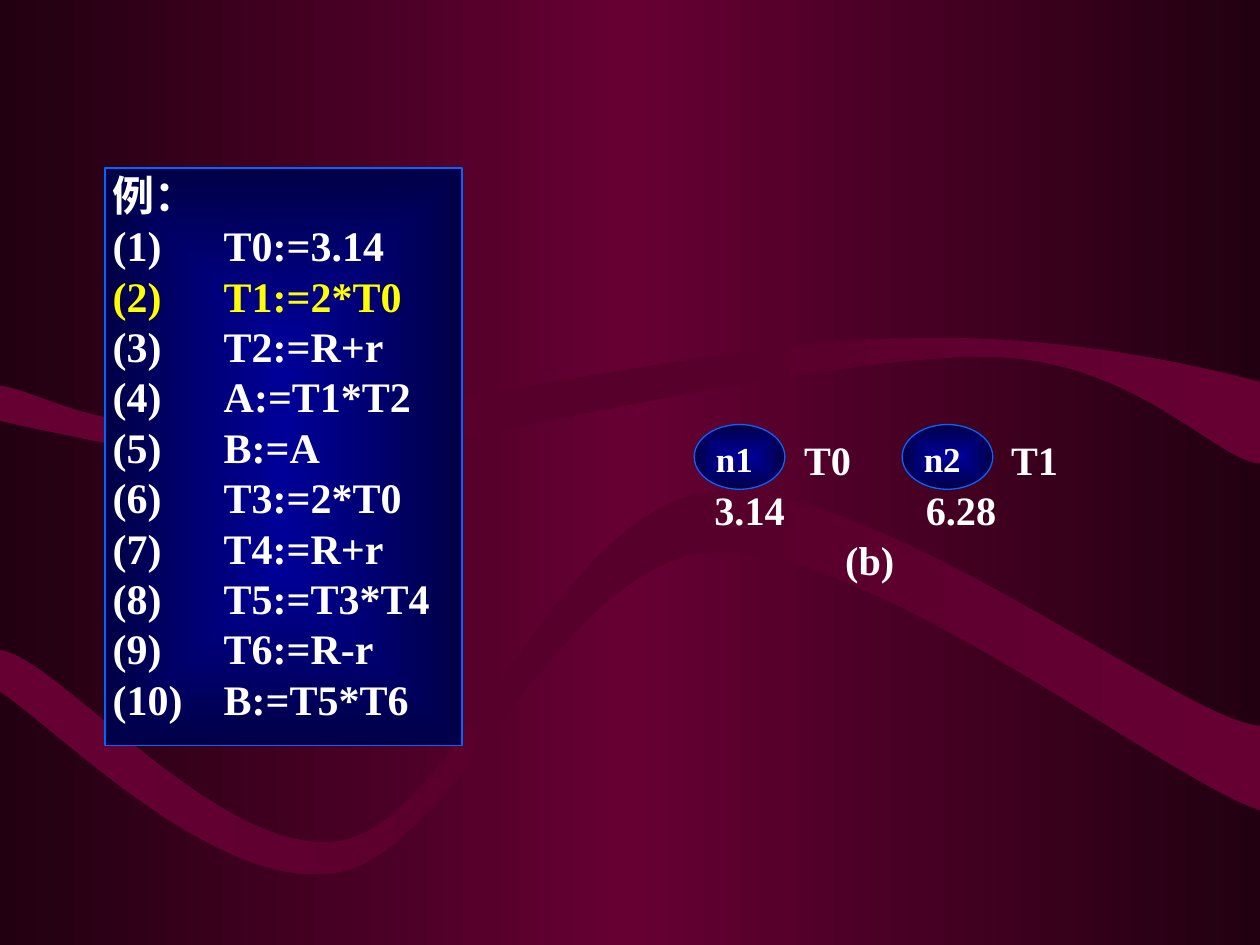
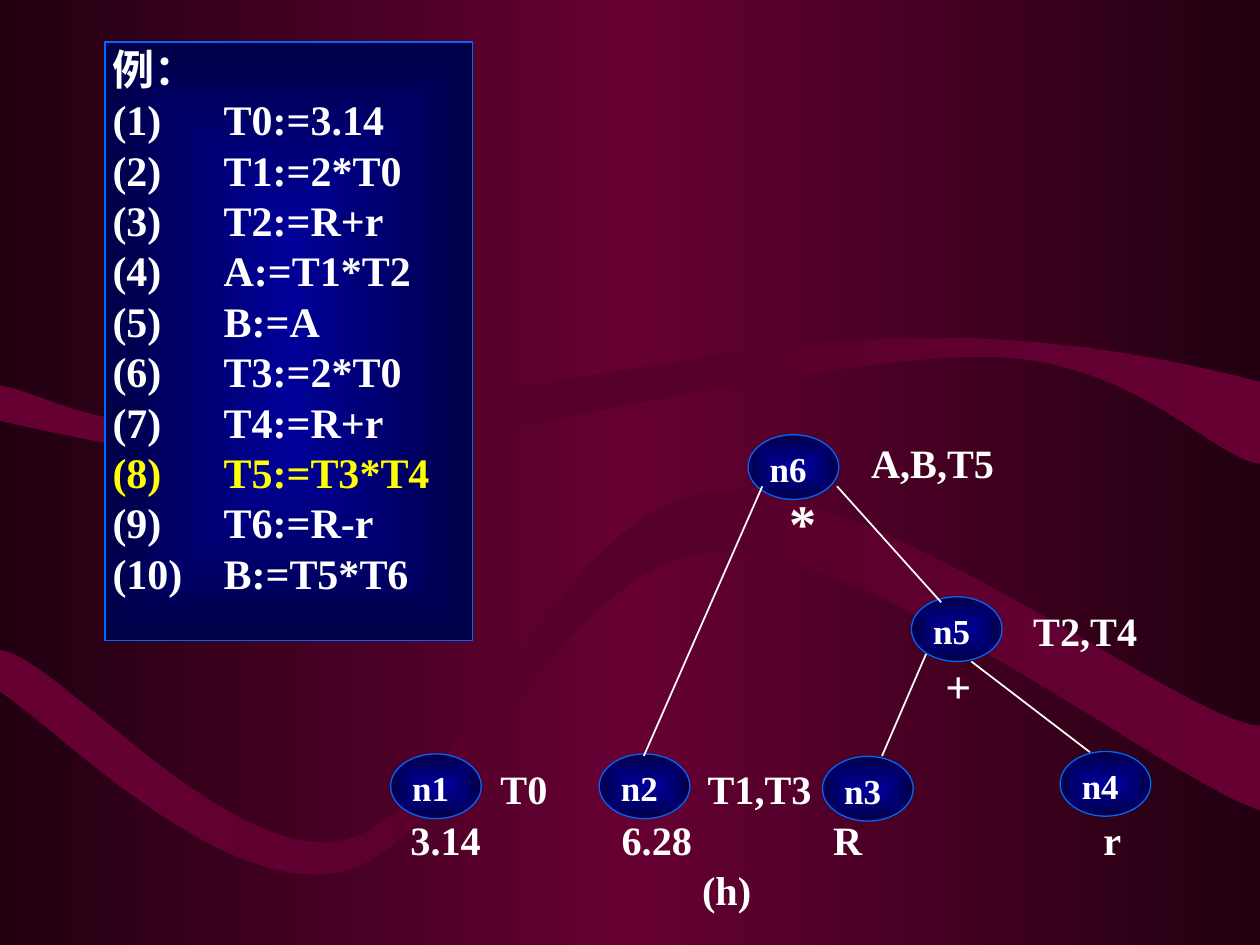
from dataclasses import dataclass
from typing import NamedTuple

from lxml import etree
from pptx import Presentation
from pptx.dml.color import RGBColor
from pptx.enum import shapes, text
from pptx.oxml import ns, parse_xml
from pptx.util import Pt


@dataclass(frozen=True)
class Theme:
    font: str = "Times New Roman"
    white: str = "FFFFFF"
    highlight: str = "FFFF00"
    outline: str = "0066FF"
    backdrop: tuple = ("220011", "660033", "220011")
    ribbon: tuple = ("660033", "56002B", "660033")
    glow: tuple = ("000099", "000047")
    code_size: float = 24
    label_size: float = 23
    node_size: float = 20
    line_height: float = 1.2


THEME = Theme()


class Node(NamedTuple):
    name: str
    left: float
    top: float


class Row(NamedTuple):
    """Labels on one line, each with the left edge it starts at."""
    top: float
    labels: dict[str, float]
    size: float = THEME.label_size


class Edge(NamedTuple):
    x1: float
    y1: float
    x2: float
    y2: float


@dataclass(frozen=True)
class Step:
    """One stage of the graph: the code panel's box, its current line and the graph."""
    panel: tuple[float, float, float, float]
    current_line: int
    nodes: list[Node]
    rows: list[Row]
    edges: list[Edge]


NODE_WIDTH, NODE_HEIGHT = 51.8, 37
CODE_TAB = 63.5
CODE = ["T0:=3.14", "T1:=2*T0", "T2:=R+r", "A:=T1*T2", "B:=A",
        "T3:=2*T0", "T4:=R+r", "T5:=T3*T4", "T6:=R-r", "B:=T5*T6"]

# Outlines: two numbers are a corner, six are a Bézier curve.
RIBBONS = [
    [(0, 220.3), (0, 240.5),
     (26.6, 247, 126, 266.4, 159.8, 270),
     (193.7, 273.6, 136.8, 272.9, 203, 262.1),
     (270, 250.6, 475.2, 203, 561.6, 203.8),
     (648, 203.8, 693.4, 262.8, 720, 265),
     (720, 218.2),
     (684, 208.8, 601.9, 189.4, 504.7, 193.7),
     (407.5, 197.3, 221, 239, 136.8, 243.4),
     (52.6, 247.7, 28.8, 225.4, 0, 220.3)],
    [(0, 371.5), (0, 395.3),
     (32.4, 416.2, 125.3, 511.9, 193.7, 498.2),
     (261.4, 485.3, 319, 321.1, 406.8, 315.4),
     (494.6, 308.9, 667.4, 446.4, 720, 463),
     (720, 414.7),
     (675.4, 411.8, 497.5, 271.4, 404.6, 281.5),
     (317.5, 292.3, 264.2, 465.1, 196.6, 480.2),
     (128.9, 494.6, 32.4, 374.4, 0, 371.5)],
]

STEPS = [
    Step(
        panel=(60, 96, 204, 330),
        current_line=2,
        nodes=[Node("n1", 396.7, 242.6), Node("n2", 515.5, 242.6)],
        rows=[Row(248.6, {"T0": 459.5, "T1": 577.8}),
              Row(277.2, {"3.14": 408.2, "6.28": 529}),
              Row(306, {"(b)": 483})],
        edges=[],
    ),
    Step(
        panel=(60, 24, 210, 342),
        current_line=8,
        nodes=[Node("n1", 223.2, 430.8), Node("n2", 342.4, 430.8),
               Node("n3", 470, 432.2), Node("n4", 605.8, 429.4),
               Node("n5", 520.8, 341), Node("n6", 427.5, 248.4)],
        rows=[Row(250.6, {"A,B,T5": 497.8}), Row(279.4, {"*": 451.2}, 31),
              Row(346.4, {"T2,T4": 590.4}), Row(375.8, {"+": 540.2}, 26),
              Row(437, {"T0": 286, "T1,T3": 404.4}),
              Row(465.8, {"3.14": 234.5, "6.28": 355.2, "R": 476, "r": 630.5}),
              Row(494.6, {"(h)": 401.2})],
        edges=[Edge(435.6, 277.9, 367.9, 432), Edge(478.3, 277.9, 537.8, 344.2),
               Edge(529.2, 373.7, 504, 432), Edge(555.1, 378, 622.8, 429.8)],
    ),
]


def set_gradient(fill, element, colors: tuple, from_center: bool = False) -> None:
    """Give the first fill inside element evenly spaced stops."""
    fill.gradient()
    old = element.find(".//" + ns.qn("a:gradFill"))
    stops = "".join(
        f'<a:gs pos="{i * 100000 // (len(colors) - 1)}"><a:srgbClr val="{color}"/></a:gs>'
        for i, color in enumerate(colors))
    direction = ('<a:path path="rect"><a:fillToRect l="50000" t="50000" r="50000" b="50000"/>'
                 '</a:path>' if from_center else '<a:lin ang="0" scaled="1"/>')
    old.getparent().replace(old, parse_xml(
        f'<a:gradFill {ns.nsdecls("a")} rotWithShape="1"><a:gsLst>{stops}</a:gsLst>'
        f'{direction}</a:gradFill>'))


def write(paragraph, content: str, *, size: float, color: str = THEME.white,
          tabs: tuple = ()) -> None:
    paragraph.alignment = text.PP_ALIGN.LEFT
    paragraph.line_spacing = Pt(round(size * THEME.line_height, 1))
    if tabs:
        tab_list = etree.SubElement(paragraph._p.get_or_add_pPr(), ns.qn("a:tabLst"))
        for tab in tabs:
            etree.SubElement(tab_list, ns.qn("a:tab"), pos=str(Pt(tab)), algn="l")
    run = paragraph.add_run()
    run.text = content
    run.font.name = THEME.font
    run.font.size = Pt(size)
    run.font.bold = True
    run.font.color.rgb = RGBColor.from_string(color)


def set_frame(frame, *, insets: tuple, anchor=text.MSO_ANCHOR.TOP) -> None:
    """Insets run left, top, right, bottom."""
    frame.margin_left, frame.margin_top, frame.margin_right, frame.margin_bottom = map(Pt, insets)
    frame.word_wrap = True
    frame.vertical_anchor = anchor


def add_glowing_shape(slide, kind, left: float, top: float, width: float, height: float):
    shape = slide.shapes.add_shape(kind, Pt(left), Pt(top), Pt(width), Pt(height))
    shape.shadow.inherit = False
    set_gradient(shape.fill, shape.element, THEME.glow, from_center=True)
    shape.line.color.rgb = RGBColor.from_string(THEME.outline)
    shape.line.width = Pt(0.75)
    return shape


def add_ribbon(slide, outline: list):
    """Build the outline through its end points, then bend the curved pieces."""
    corners = [(Pt(piece[-2]), Pt(piece[-1])) for piece in outline]
    builder = slide.shapes.build_freeform(*corners[0])
    builder.add_line_segments(corners[1:], close=True)
    ribbon = builder.convert_to_shape()
    segments = list(ribbon.element.iter(ns.qn("a:lnTo")))
    for segment, piece in zip(segments, outline[1:]):
        if len(piece) == 6:
            curve = etree.Element(ns.qn("a:cubicBezTo"))
            for x, y in zip(piece[::2], piece[1::2]):
                etree.SubElement(curve, ns.qn("a:pt"), x=str(Pt(x) - ribbon.left),
                                 y=str(Pt(y) - ribbon.top))
            segment.getparent().replace(segment, curve)
    ribbon.shadow.inherit = False
    set_gradient(ribbon.fill, ribbon.element, THEME.ribbon)
    ribbon.line.fill.background()
    return ribbon


def decorate_master(master, slide) -> None:
    """Shade the master and move ribbons, drawn on the slide, onto it."""
    set_gradient(master.background.fill, master.element, THEME.backdrop)
    for outline in RIBBONS:
        master.shapes.element.append(add_ribbon(slide, outline).element)


def add_code_panel(slide, step: Step) -> None:
    panel = add_glowing_shape(slide, shapes.MSO_SHAPE.RECTANGLE, *step.panel)
    frame = panel.text_frame
    set_frame(frame, insets=(4.3, 0.7, 4.3, 0.7))
    write(frame.paragraphs[0], "例：", size=THEME.code_size)
    for number, statement in enumerate(CODE, start=1):
        color = THEME.highlight if number == step.current_line else THEME.white
        write(frame.add_paragraph(), f"({number})\t{statement}",
              size=THEME.code_size, color=color, tabs=(CODE_TAB,))


def add_node(slide, node: Node) -> None:
    ellipse = add_glowing_shape(slide, shapes.MSO_SHAPE.OVAL, node.left, node.top,
                                NODE_WIDTH, NODE_HEIGHT)
    set_frame(ellipse.text_frame, insets=(4.8, 1.6, 0, 0), anchor=text.MSO_ANCHOR.MIDDLE)
    write(ellipse.text_frame.paragraphs[0], node.name, size=THEME.node_size)


def add_row(slide, row: Row) -> None:
    left, *later = row.labels.values()
    tabs = tuple(round(x - left, 2) for x in later)
    last_width = row.size * len(list(row.labels)[-1]) * 0.65
    box = slide.shapes.add_textbox(Pt(left), Pt(row.top),
                                   Pt(max(tabs, default=0) + last_width),
                                   Pt(row.size * THEME.line_height))
    set_frame(box.text_frame, insets=(0, 0, 0, 0))
    write(box.text_frame.paragraphs[0], "\t".join(row.labels), size=row.size, tabs=tabs)


def add_edge(slide, edge: Edge) -> None:
    line = slide.shapes.add_connector(shapes.MSO_CONNECTOR.STRAIGHT, *map(Pt, edge))
    line.line.color.rgb = RGBColor.from_string(THEME.white)
    line.line.width = Pt(1)
    etree.SubElement(line.element.spPr, ns.qn("a:effectLst"))


def main() -> None:
    presentation = Presentation()
    presentation.slide_width, presentation.slide_height = Pt(720), Pt(540)
    blank = presentation.slide_layouts[6]
    slides = [presentation.slides.add_slide(blank) for _ in STEPS]
    decorate_master(presentation.slide_master, slides[0])
    for slide, step in zip(slides, STEPS):
        for row in step.rows:
            add_row(slide, row)
        for node in step.nodes:
            add_node(slide, node)
        for edge in step.edges:
            add_edge(slide, edge)
        add_code_panel(slide, step)
    presentation.save("out.pptx")


if __name__ == "__main__":
    main()
